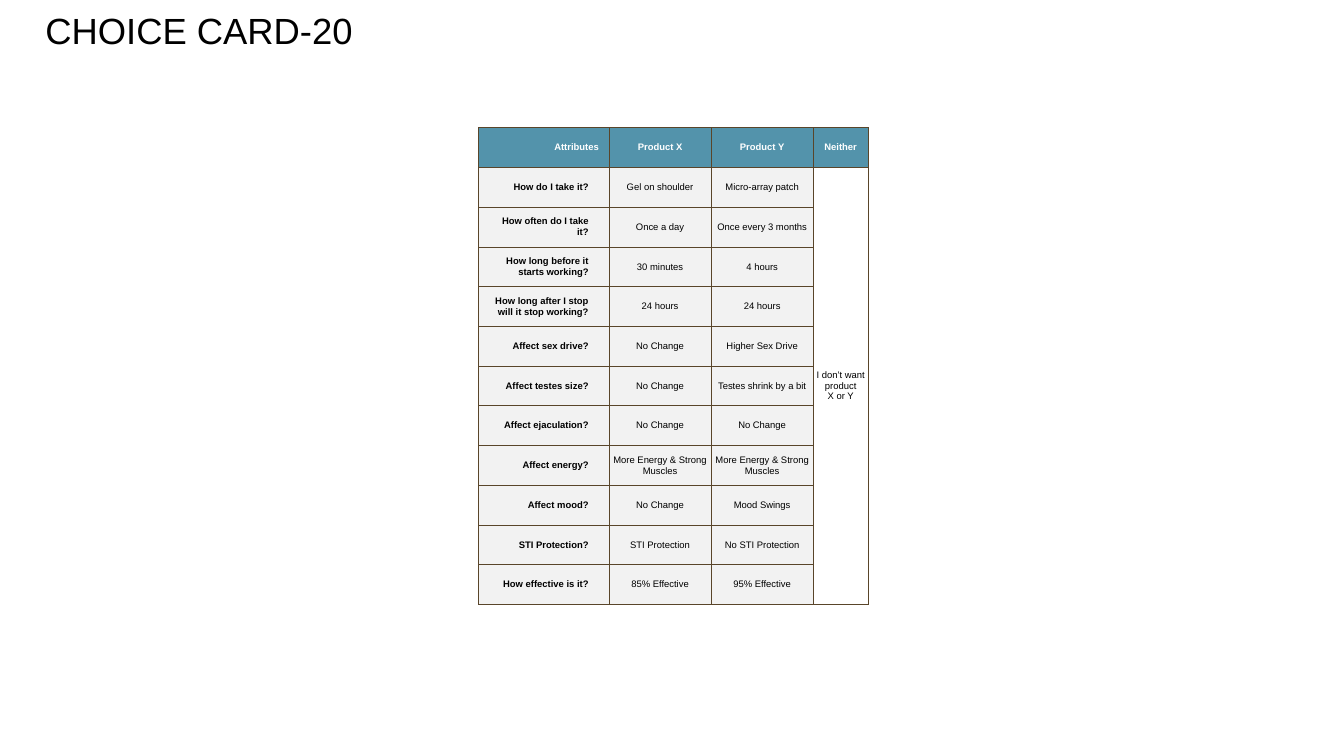
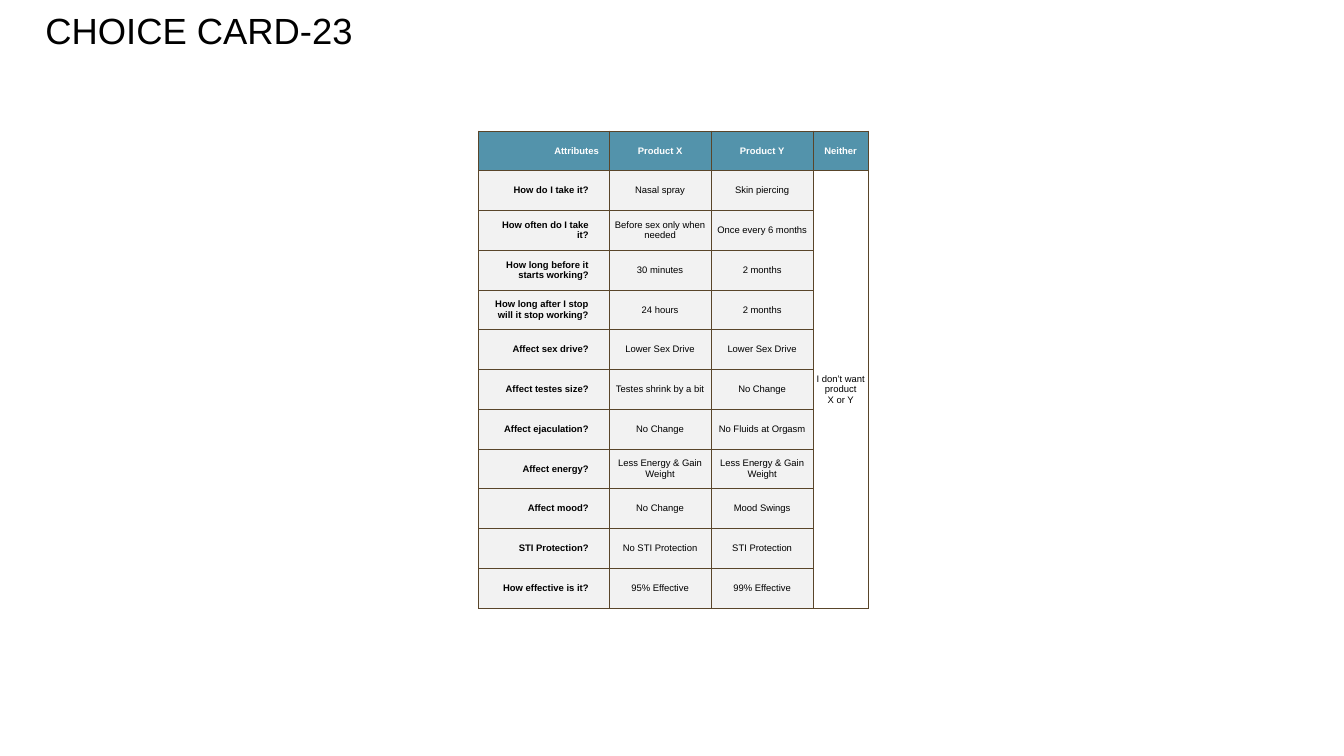
from dataclasses import dataclass

from lxml.etree import SubElement as Sub
from pptx import Presentation as Deck
from pptx.dml.color import RGBColor as RGB
from pptx.enum.text import MSO_ANCHOR as Anchor, PP_ALIGN as Align
from pptx.oxml.ns import qn
from pptx.util import Inches, Pt


@dataclass(frozen=True)
class Theme:
    font: str = "Arial"
    ink: str = "000000"
    paper: str = "FFFFFF"
    head: str = "5393AB"
    body: str = "F2F2F2"
    edge: str = "59452A"
    title: float = 46.2
    text: float = 12
    rule: float = 1
    lead: float = 30.7


LOOK = Theme()

HEADS = ["Attributes", "Product X", "Product Y", "Neither"]
ASKS = [
    "How do I take it?",
    "How often do I take it?",
    "How long before it starts working?",
    "How long after I stop will it stop working?",
    "Affect sex drive?",
    "Affect testes size?",
    "Affect ejaculation?",
    "Affect energy?",
    "Affect mood?",
    "STI Protection?",
    "How effective is it?",
]
NONE = "I don’t want product\nX or Y"
WIDTHS = [2.3, 1.8, 1.8, 0.97]

# Card number, top of its table, then the X and Y answers to each question
CARDS = [
    (20, 2.25, [
        ("Gel on shoulder", "Micro-array patch"),
        ("Once a day", "Once every 3 months"),
        ("30 minutes", "4 hours"),
        ("24 hours", "24 hours"),
        ("No Change", "Higher Sex Drive"),
        ("No Change", "Testes shrink by a bit"),
        ("No Change", "No Change"),
        ("More Energy & Strong Muscles", "More Energy & Strong Muscles"),
        ("No Change", "Mood Swings"),
        ("STI Protection", "No STI Protection"),
        ("85% Effective", "95% Effective"),
    ]),
    (23, 2.31, [
        ("Nasal spray", "Skin piercing"),
        ("Before sex only when needed", "Once every 6 months"),
        ("30 minutes", "2 months"),
        ("24 hours", "2 months"),
        ("Lower Sex Drive", "Lower Sex Drive"),
        ("Testes shrink by a bit", "No Change"),
        ("No Change", "No Fluids at Orgasm"),
        ("Less Energy & Gain Weight", "Less Energy & Gain Weight"),
        ("No Change", "Mood Swings"),
        ("No STI Protection", "STI Protection"),
        ("95% Effective", "99% Effective"),
    ]),
]


def write(frame, text, size=LOOK.text, color=LOOK.ink, bold=False,
          align=Align.CENTER, lead=None):
    """Fill a text frame with one paragraph for each line of text."""
    frame.word_wrap = True
    frame.text = text
    for para in frame.paragraphs:
        para.alignment = align
        if lead:
            para.line_spacing = Pt(lead)
        for run in para.runs:
            font = run.font
            font.name, font.size, font.bold = LOOK.font, Pt(size), bold
            font.color.rgb = RGB.from_string(color)


def pad(box, left, top, right, base):
    box.margin_left, box.margin_top = Inches(left), Inches(top)
    box.margin_right, box.margin_bottom = Inches(right), Inches(base)


def frame_cell(cell):
    """Draw a line on all four sides; call it before the fill is set."""
    props = cell._tc.get_or_add_tcPr()
    for side in ("a:lnL", "a:lnR", "a:lnT", "a:lnB"):
        line = Sub(props, qn(side), w=str(Pt(LOOK.rule)))
        Sub(Sub(line, qn("a:solidFill")), qn("a:srgbClr"), val=LOOK.edge)


def set_cell(cell, text, fill, inset, **style):
    cell.fill.solid()
    cell.fill.fore_color.rgb = RGB.from_string(fill)
    cell.vertical_anchor = Anchor.MIDDLE
    pad(cell, *inset)
    write(cell.text_frame, text, **style)


def add_title(slide, text):
    box = slide.shapes.add_textbox(
        Inches(0.73), Inches(0.42), Inches(18.05), Inches(0.74))
    pad(box.text_frame, 0.07, 0.07, 0.07, 0.07)
    write(box.text_frame, text, size=LOOK.title, align=Align.LEFT,
          lead=LOOK.lead)


def add_grid(slide, top, picks):
    rows = len(ASKS) + 1
    grid = slide.shapes.add_table(
        rows, len(WIDTHS), Inches(8.44), Inches(top),
        Inches(sum(WIDTHS)), Inches(8.41)).table
    grid.first_row = grid.horz_banding = False
    for col, width in zip(grid.columns, WIDTHS):
        col.width = Inches(width)
    for cell in grid.iter_cells():
        frame_cell(cell)

    wide, ask_pad, slim = ((0.18, 0.09, 0.18, 0.09),
                           (0.18, 0.09, 0.36, 0.09),
                           (0.04, 0.02, 0.04, 0.02))
    for col, head in enumerate(HEADS):
        set_cell(grid.cell(0, col), head, LOOK.head, wide, color=LOOK.paper,
                 bold=True, align=Align.CENTER if col else Align.RIGHT)
    for row, (ask, pair) in enumerate(zip(ASKS, picks), 1):
        set_cell(grid.cell(row, 0), ask, LOOK.body, ask_pad, bold=True,
                 align=Align.RIGHT)
        for col, pick in enumerate(pair, 1):
            set_cell(grid.cell(row, col), pick, LOOK.body, slim)

    last = len(WIDTHS) - 1
    grid.cell(1, last).merge(grid.cell(rows - 1, last))
    set_cell(grid.cell(1, last), NONE, LOOK.paper, slim)


def main():
    deck = Deck()
    deck.slide_width, deck.slide_height = Inches(23.7), Inches(13.33)
    for number, top, picks in CARDS:
        slide = deck.slides.add_slide(deck.slide_layouts[6])
        add_title(slide, f"CHOICE CARD-{number}")
        add_grid(slide, top, picks)
    deck.save("out.pptx")


if __name__ == "__main__":
    main()
